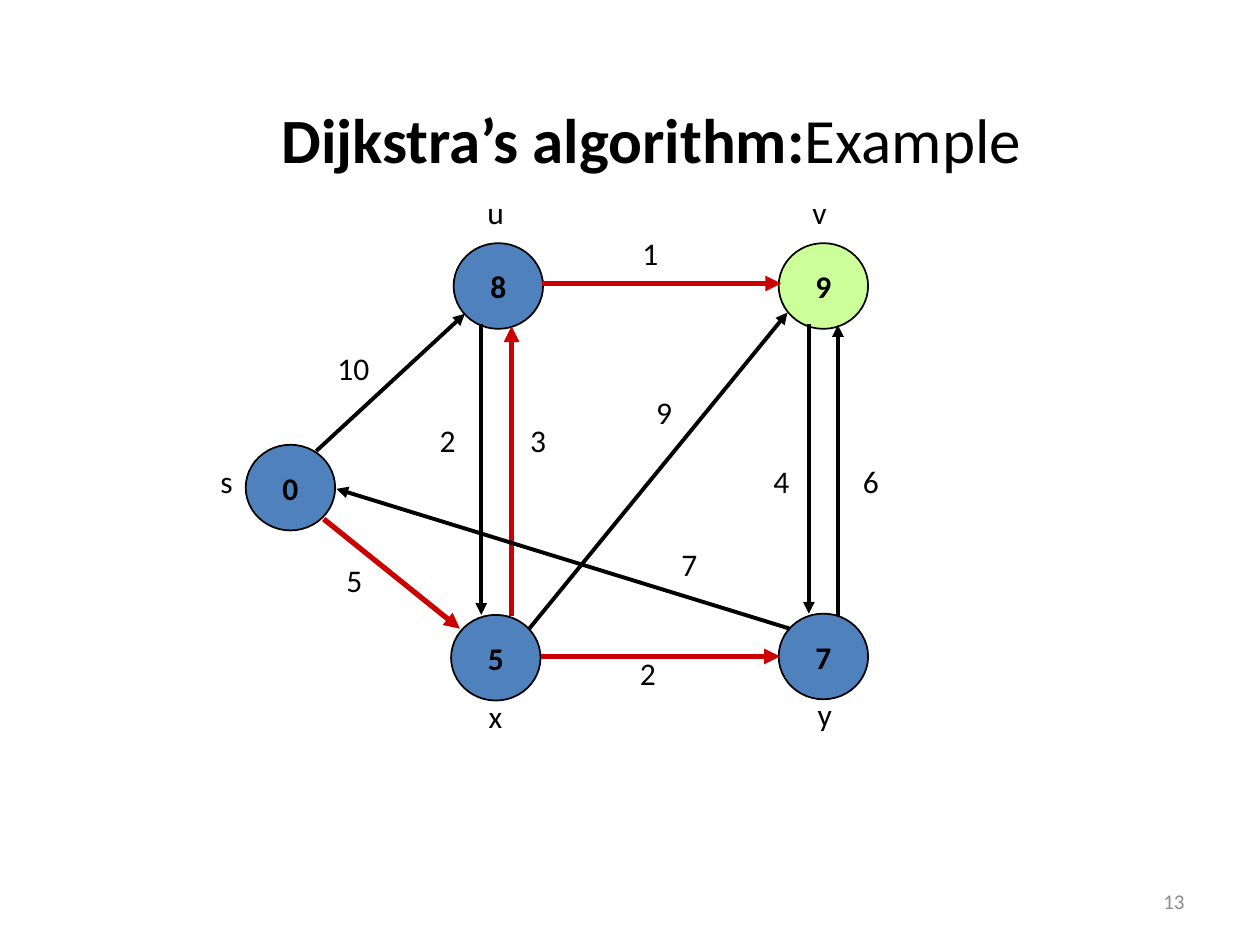
"""Build a slide showing one step of Dijkstra's algorithm on a five-node graph."""
import pptx
import pptx.dml.color
import pptx.enum.shapes
import pptx.enum.text
import pptx.oxml.ns
import pptx.util
from lxml import etree

PX = 9144
BLACK = pptx.dml.color.RGBColor(0x00, 0x00, 0x00)
RED = pptx.dml.color.RGBColor(0xCC, 0x00, 0x00)
BLUE = pptx.dml.color.RGBColor(0x4F, 0x81, 0xBD)
GREEN = pptx.dml.color.RGBColor(0xCC, 0xFF, 0x99)
GREY = pptx.dml.color.RGBColor(0x8C, 0x8C, 0x8C)
MIDDLE = pptx.enum.text.MSO_ANCHOR.MIDDLE
LEFT = pptx.enum.text.PP_ALIGN.LEFT
CENTER = pptx.enum.text.PP_ALIGN.CENTER
RIGHT = pptx.enum.text.PP_ALIGN.RIGHT
NODE_WIDTH, NODE_HEIGHT = 71, 68


def write(shape, text, size=18, color=BLACK, bold=False, align=LEFT):
    paragraph = shape.text_frame.paragraphs[0]
    paragraph.text = text
    paragraph.alignment = align
    font = paragraph.runs[0].font
    font.name = "Calibri"
    font.size = pptx.util.Pt(size)
    font.bold = bold
    font.color.rgb = color
    return paragraph


def add_box(left, top, width, height):
    return page.shapes.add_textbox(left * PX, top * PX, width * PX, height * PX)


deck = pptx.Presentation()
deck.slide_width = 1000 * PX
deck.slide_height = 750 * PX
page = deck.slides.add_slide(deck.slide_layouts[6])

nodes = [
    ("0", 195, 353, BLUE),
    ("7", 618, 487, BLUE),
    ("5", 358, 488, BLUE),
    ("9", 618, 193, GREEN),
    ("8", 360, 193, BLUE),
]
for distance, left, top, color in nodes:
    node = page.shapes.add_shape(
        pptx.enum.shapes.MSO_SHAPE.OVAL,
        left * PX, top * PX, NODE_WIDTH * PX, NODE_HEIGHT * PX)
    node.shadow.inherit = False
    node.fill.solid()
    node.fill.fore_color.rgb = color
    node.line.color.rgb = BLACK
    node.line.width = pptx.util.Pt(1)
    node.text_frame.word_wrap = False
    node.text_frame.vertical_anchor = MIDDLE
    write(node, distance, bold=True, align=CENTER)

edges = [
    (251, 358, 369, 249, BLACK),
    (257, 412, 365, 499, RED),
    (382, 257, 382, 488, BLACK),
    (406, 489, 406, 259, RED),
    (642, 257, 642, 487, BLACK),
    (665, 489, 665, 258, BLACK),
    (429, 521, 619, 521, RED),
    (430, 225, 620, 225, RED),
    (420, 499, 625, 248, BLACK),
    (627, 499, 267, 388, BLACK),
]
for start_x, start_y, end_x, end_y, color in edges:
    edge = page.shapes.add_connector(
        pptx.enum.shapes.MSO_CONNECTOR.STRAIGHT,
        start_x * PX, start_y * PX, end_x * PX, end_y * PX)
    edge.line.color.rgb = color
    edge.line.width = pptx.util.Pt(3 if color == RED else 2.25)
    outline = edge.line._get_or_add_ln()
    etree.SubElement(outline, pptx.oxml.ns.qn("a:tailEnd"), type="triangle")
    etree.SubElement(edge._element.spPr, pptx.oxml.ns.qn("a:effectLst"))

labels = [
    ("s", 165, 362, 33),
    ("u", 377, 148, 37),
    ("v", 635, 148, 37),
    ("x", 378, 548, 37),
    ("y", 639, 547, 37),
    ("10", 258, 272, 53),
    ("1", 500, 181, 37),
    ("9", 511, 307, 37),
    ("2", 498, 514, 37),
    ("4", 604, 362, 37),
    ("6", 675, 362, 37),
    ("5", 265, 440, 37),
    ("2", 339, 329, 37),
    ("3", 411, 329, 37),
    ("7", 531, 428, 37),
]
for text, left, top, width in labels:
    label = add_box(left, top, width, 50)
    label.text_frame.word_wrap = False
    label.text_frame.auto_size = pptx.enum.text.MSO_AUTO_SIZE.SHAPE_TO_FIT_TEXT
    write(label, text)

title = add_box(67, 47, 900, 125)
title.text_frame.word_wrap = True
title.text_frame.vertical_anchor = MIDDLE
heading = write(title, "Dijkstra’s algorithm:", size=36, bold=True, align=CENTER)
span = heading.add_run()
span.text = "Example"
span.font.name = "Calibri"
span.font.size = pptx.util.Pt(36)
span.font.bold = False
span.font.color.rgb = BLACK

number = add_box(717, 695, 233, 40)
number.text_frame.word_wrap = True
number.text_frame.vertical_anchor = MIDDLE
write(number, "13", size=12, color=GREY, align=RIGHT)

deck.save("out.pptx")
